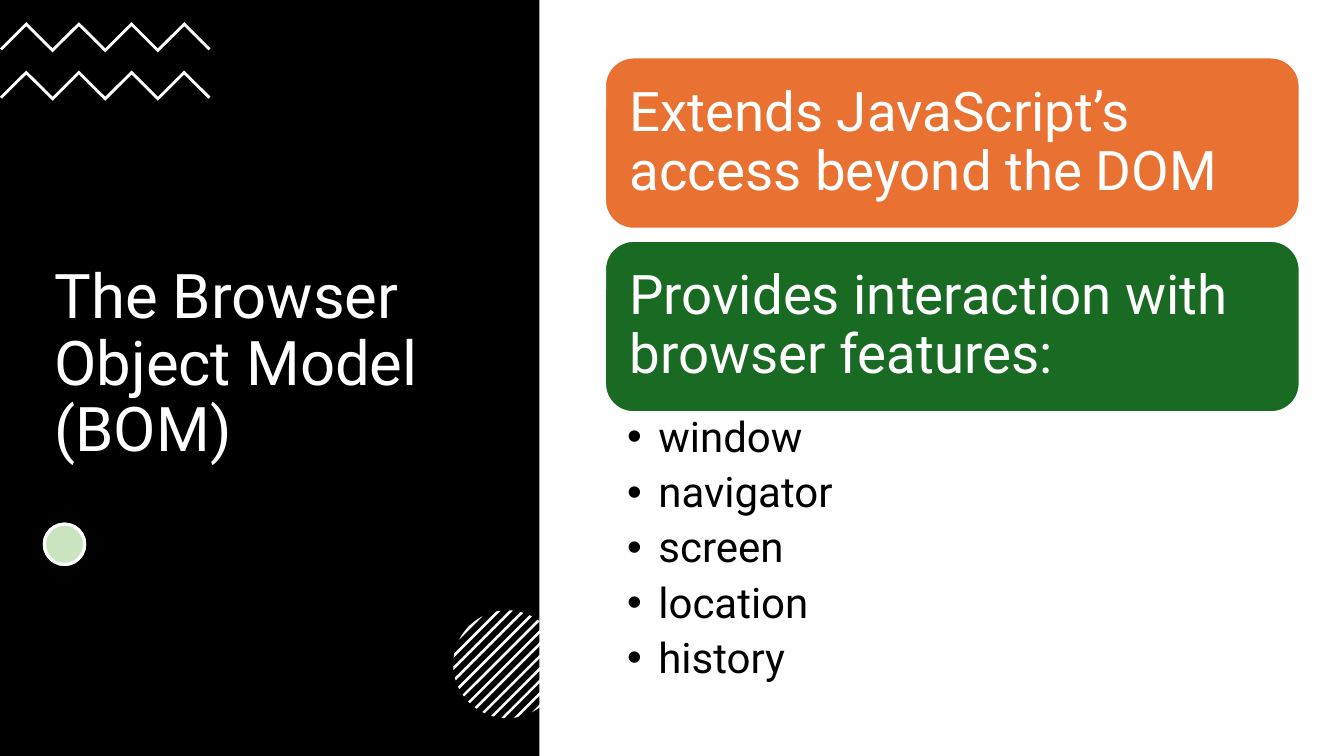
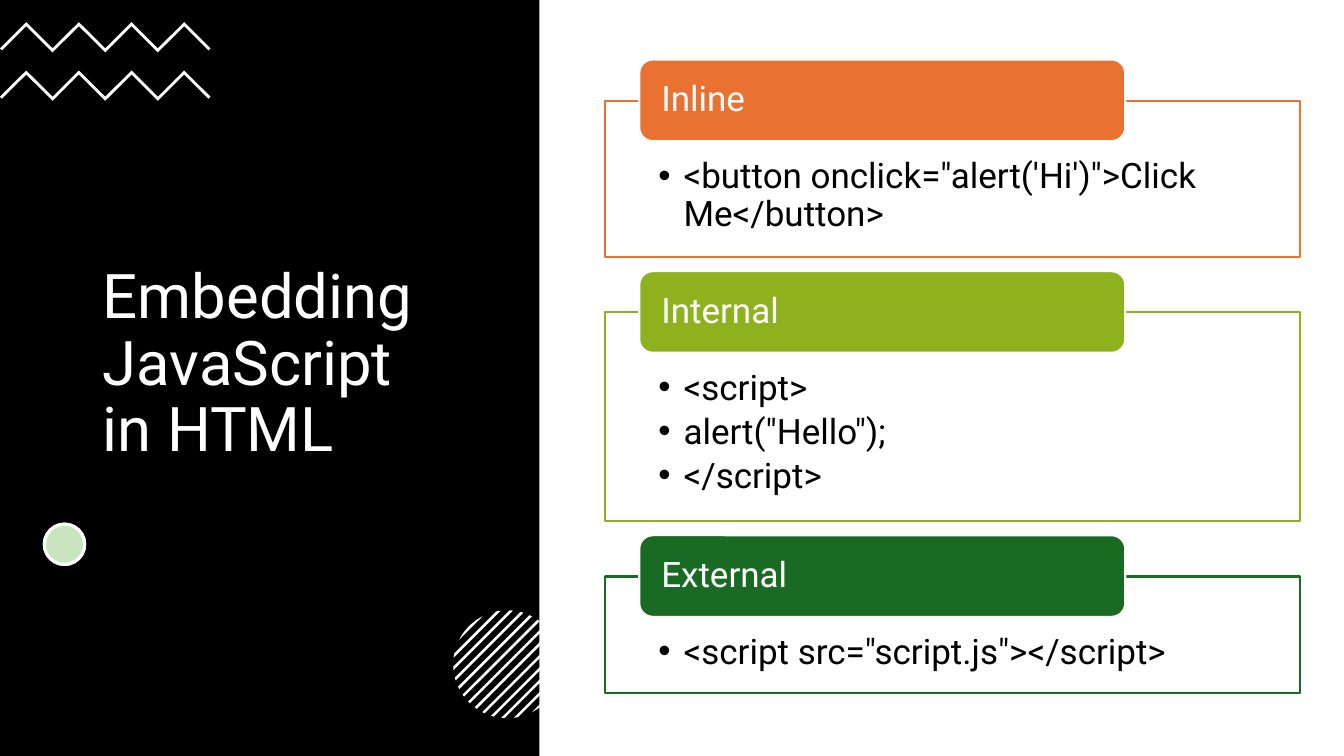
import math
from dataclasses import dataclass
from typing import Any

from lxml import etree
from pptx import Presentation
from pptx import util as u
from pptx.dml.color import RGBColor
from pptx.enum import shapes, text
from pptx.oxml import ns

# Scale: 100 px to the inch
PX = 9144
SLIDE_WIDTH, SLIDE_HEIGHT = 1333, 750

# Shared style
FONT = "Roboto"
WHITE = RGBColor(0xFF, 0xFF, 0xFF)
BLACK = RGBColor(0x00, 0x00, 0x00)
ORANGE = RGBColor(0xE9, 0x71, 0x32)
LIME = RGBColor(0x8E, 0xB2, 0x1E)
GREEN = RGBColor(0x19, 0x6B, 0x24)
DOT_GREEN = RGBColor(0x4E, 0xA7, 0x2E)

RECTANGLE = shapes.MSO_SHAPE.RECTANGLE
ROUNDED = shapes.MSO_SHAPE.ROUNDED_RECTANGLE
OVAL = shapes.MSO_SHAPE.OVAL
TOP, MIDDLE = text.MSO_ANCHOR.TOP, text.MSO_ANCHOR.MIDDLE

# Content column
COLUMN_LEFT, COLUMN_WIDTH = 600, 689
CARD_TOP, CARD_HEIGHT, CARD_STEP = 57, 170, 182
PANEL_TOP, PANEL_GAP = 100, 55
TAG_LIFT, TAG_INDENT, TAG_WIDTH, TAG_HEIGHT = 41, 34, 482, 81

Point = tuple[float, float]


@dataclass(frozen=True)
class Box:
    left: int
    top: int
    width: int
    height: int


@dataclass(frozen=True)
class TextStyle:
    size: int
    color: RGBColor
    anchor: Any = MIDDLE
    insets: tuple[int, int, int, int] = (10, 5, 10, 5)
    space_after: float = 0
    bullet_indent: int = 0


@dataclass(frozen=True)
class Card:
    label: str
    color: RGBColor


@dataclass(frozen=True)
class Panel:
    label: str
    color: RGBColor
    height: int
    lines: tuple[str, ...]


TITLE_STYLE = TextStyle(44, WHITE)
CARD_STYLE = TextStyle(39, WHITE, insets=(16, 16, 16, 16))
LIST_STYLE = TextStyle(30, BLACK, TOP, (22, 5, 30, 5), 7, 31)
TAG_STYLE = TextStyle(25, WHITE, insets=(18, 0, 18, 0))
PANEL_STYLE = TextStyle(25, BLACK, TOP, (53, 57, 53, 19), 4.4, 25)

CARDS = (
    Card("Extends JavaScript’s access beyond the DOM", ORANGE),
    Card("Provides interaction with browser features:", GREEN),
)
BROWSER_OBJECTS = ("window", "navigator", "screen", "location", "history")
PANELS = (
    Panel("Inline", ORANGE, 155,
          ("<button onclick=\"alert('Hi')\">Click Me</button>",)),
    Panel("Internal", LIME, 207, ("<script>", 'alert("Hello");', "</script>")),
    Panel("External", GREEN, 116, ('<script src="script.js"></script>',)),
)


def set_all(target: Any, values: dict[str, Any]) -> None:
    for name, value in values.items():
        setattr(target, name, value)


def place(shape: Any, box: Box) -> None:
    set_all(shape, {"left": box.left * PX, "top": box.top * PX,
                    "width": box.width * PX, "height": box.height * PX})


def set_bullet(paragraph: Any, indent: int) -> None:
    properties = paragraph._p.get_or_add_pPr()
    properties.set("marL", str(indent * PX))
    properties.set("indent", str(-indent * PX))
    etree.SubElement(properties, ns.qn("a:buFont")).set("typeface", "Arial")
    etree.SubElement(properties, ns.qn("a:buChar")).set("char", "•")


def write_text(shape: Any, lines: tuple[str, ...], style: TextStyle) -> None:
    frame = shape.text_frame
    left, top, right, bottom = (inset * PX for inset in style.insets)
    set_all(frame, {
        "text": "\n".join(lines), "word_wrap": True,
        "auto_size": text.MSO_AUTO_SIZE.NONE, "vertical_anchor": style.anchor,
        "margin_left": left, "margin_top": top,
        "margin_right": right, "margin_bottom": bottom,
    })
    for paragraph in frame.paragraphs:
        set_all(paragraph, {
            "alignment": text.PP_ALIGN.LEFT, "line_spacing": 0.9,
            "space_before": u.Pt(0), "space_after": u.Pt(style.space_after),
        })
        if style.bullet_indent:
            set_bullet(paragraph, style.bullet_indent)
        for run in paragraph.runs:
            set_all(run.font, {"name": FONT, "size": u.Pt(style.size)})
            run.font.color.rgb = style.color


def paint(shape: Any, fill: RGBColor, line: RGBColor | None = None,
          line_width: float = 1.5, opacity: int = 100) -> None:
    shape.shadow.inherit = False
    shape.fill.solid()
    shape.fill.fore_color.rgb = fill
    if opacity < 100:
        color = shape.element.spPr.find(ns.qn("a:solidFill"))[0]
        etree.SubElement(color, ns.qn("a:alpha")).set("val", str(opacity * 1000))
    if line is None:
        shape.line.fill.background()
    else:
        shape.line.color.rgb = line
        shape.line.width = u.Pt(line_width)


def add_box(slide: Any, kind: Any, box: Box) -> Any:
    return slide.shapes.add_shape(kind, box.left * PX, box.top * PX,
                                  box.width * PX, box.height * PX)


def add_polygon(slide: Any, points: list[Point]) -> None:
    first, *rest = [(x * PX, y * PX) for x, y in points]
    builder = slide.shapes.build_freeform(*first, scale=1.0)
    builder.add_line_segments(rest, close=True)
    paint(builder.convert_to_shape(), WHITE)


def add_zigzag(slide: Any, top: int) -> None:
    step, depth, thickness = 26.1, 26, 4
    upper = [(i * step, top + (0 if i % 2 else depth)) for i in range(9)]
    lower = [(x, y + thickness) for x, y in upper[1:-1]]
    (start_x, end_y), (end_x, _) = upper[0], upper[-1]
    add_polygon(slide, upper + [(end_x - 2, end_y + 2)] + lower[::-1]
                + [(start_x + 2, end_y + 2)])


def add_striped_circle(slide: Any) -> None:
    center_x, center_y, radius = 503, 659, 53.5
    count, step, half_width = 13, 12.3, 1.8
    for i in range(count):
        middle = (i - count // 2) * step
        upper, lower = [], []
        for part in (-1, -0.5, 0, 0.5, 1):
            shift = (middle + part * half_width) / 2
            reach = math.sqrt(max(0, radius ** 2 / 2 - shift ** 2))
            upper.append((center_x + shift + reach, center_y + shift - reach))
            lower.append((center_x + shift - reach, center_y + shift + reach))
        add_polygon(slide, upper + lower[::-1])


def add_framed_slide(presentation: Any, layout: int, title: str,
                     title_box: Box) -> Any:
    slide = presentation.slides.add_slide(presentation.slide_layouts[layout])
    # Black band behind the title
    band = add_box(slide, RECTANGLE, Box(0, 0, 535, SLIDE_HEIGHT))
    paint(band, BLACK)
    band.element.getparent().insert(2, band.element)
    place(slide.shapes.title, title_box)
    write_text(slide.shapes.title, (title,), TITLE_STYLE)
    # Ornaments
    for top in (22, 70):
        add_zigzag(slide, top)
    for color, opacity in ((WHITE, 100), (DOT_GREEN, 30)):
        dot = add_box(slide, OVAL, Box(44, 520, 40, 40))
        paint(dot, color, WHITE, 2.25, opacity)
    add_striped_circle(slide)
    return slide


def add_label(slide: Any, box: Box, label: str, color: RGBColor,
              style: TextStyle) -> None:
    shape = add_box(slide, ROUNDED, box)
    paint(shape, color, WHITE)
    write_text(shape, (label,), style)


def build_object_model(presentation: Any) -> None:
    slide = add_framed_slide(presentation, 1, "The Browser Object Model (BOM)",
                             Box(44, 131, 397, 463))
    for i, card in enumerate(CARDS):
        box = Box(COLUMN_LEFT, CARD_TOP + i * CARD_STEP, COLUMN_WIDTH, CARD_HEIGHT)
        add_label(slide, box, card.label, card.color, CARD_STYLE)
    body = slide.placeholders[1]
    place(body, Box(COLUMN_LEFT, 408, COLUMN_WIDTH, 283))
    write_text(body, BROWSER_OBJECTS, LIST_STYLE)


def build_embedding(presentation: Any) -> None:
    slide = add_framed_slide(presentation, 5, "Embedding JavaScript in HTML",
                             Box(92, 131, 350, 463))
    top = PANEL_TOP
    for panel in PANELS:
        frame = add_box(slide, RECTANGLE,
                        Box(COLUMN_LEFT, top, COLUMN_WIDTH, panel.height))
        paint(frame, WHITE, panel.color, opacity=90)
        write_text(frame, panel.lines, PANEL_STYLE)
        tag_box = Box(COLUMN_LEFT + TAG_INDENT, top - TAG_LIFT,
                      TAG_WIDTH, TAG_HEIGHT)
        add_label(slide, tag_box, panel.label, panel.color, TAG_STYLE)
        top += panel.height + PANEL_GAP


def main() -> None:
    presentation = Presentation()
    set_all(presentation, {"slide_width": SLIDE_WIDTH * PX,
                           "slide_height": SLIDE_HEIGHT * PX})
    build_object_model(presentation)
    build_embedding(presentation)
    presentation.save("out.pptx")


if __name__ == "__main__":
    main()
